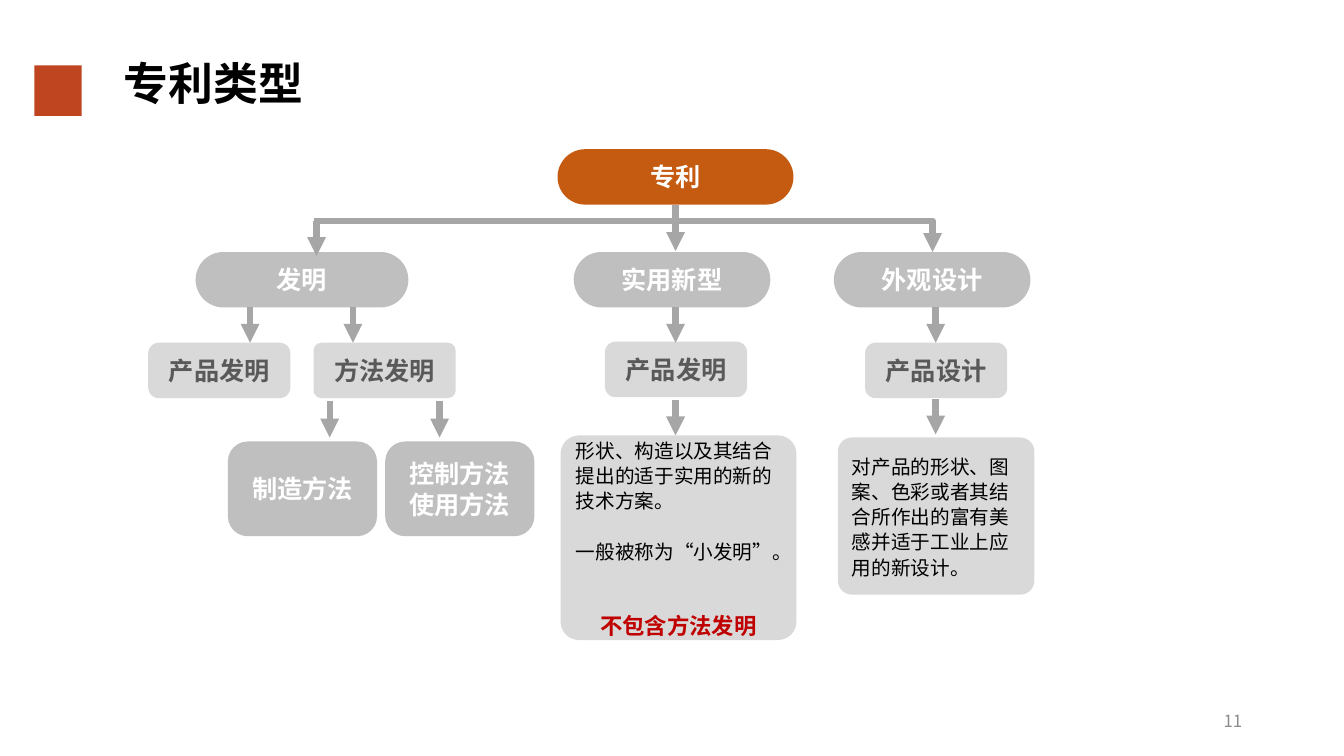
import pptx
import pptx.util
import pptx.dml.color
import pptx.enum.shapes
import pptx.enum.text
import pptx.oxml.ns
import lxml.etree

Inches = pptx.util.Inches
Pt = pptx.util.Pt
Align = pptx.enum.text.PP_ALIGN
Anchor = pptx.enum.text.MSO_ANCHOR
Shapes = pptx.enum.shapes.MSO_SHAPE
Links = pptx.enum.shapes.MSO_CONNECTOR
qn = pptx.oxml.ns.qn

FONT = "Noto Sans CJK SC"
ORANGE, GRAY, LIGHT, ARROW = "C55A11", "BFBFBF", "D9D9D9", "A6A6A6"
WHITE, BLACK, DARK, RED = "FFFFFF", "000000", "595959", "C00000"
MARKER = "BF4521"


def color(value):
    return pptx.dml.color.RGBColor.from_string(value)


def write(para, text, size=18, fill=BLACK, bold=False, align=Align.LEFT, spacing=None, before=0):
    para.alignment = align
    para.line_spacing = spacing
    para.space_before = Pt(before)
    span = para.add_run()
    span.text = text
    span.font.size = Pt(size)
    span.font.bold = bold
    span.font.color.rgb = color(fill)
    span.font.name = FONT
    east_asian = lxml.etree.SubElement(span.font._element, qn("a:ea"))
    east_asian.set("typeface", FONT)


deck = pptx.Presentation()
deck.slide_width = Inches(13.33)
deck.slide_height = Inches(7.5)
page = deck.slides.add_slide(deck.slide_layouts[6])

# Title and page number
title = page.shapes.add_textbox(Inches(1.13), Inches(0.61), Inches(1.98), Inches(0.53))
title.text_frame.word_wrap = False
write(title.text_frame.paragraphs[0], "专利类型", size=32, bold=True, spacing=0.8)

number = page.shapes.add_textbox(Inches(9.42), Inches(6.95), Inches(3), Inches(0.4))
number.text_frame.word_wrap = True
number.text_frame.vertical_anchor = Anchor.MIDDLE
write(number.text_frame.paragraphs[0], "11", size=12, fill="8C8C8C", align=Align.RIGHT)

# Title marker and boxes of the tree: left, top, width, height, rounding, fill, paragraphs
heading = dict(fill=WHITE, bold=True, align=Align.CENTER)
kind = dict(heading, fill=DARK)
body = dict(size=14, spacing=Pt(18))
warning = dict(body, size=16, fill=RED, bold=True, align=Align.CENTER, before=36)
boxes = [
    (0.34, 0.65, 0.47, 0.5, 0, MARKER, []),
    (5.53, 1.48, 2.34, 0.55, 0.5, ORANGE, [("专利", heading)]),
    (1.94, 2.5, 2.11, 0.55, 0.5, GRAY, [("发明", heading)]),
    (5.69, 2.5, 1.95, 0.55, 0.5, GRAY, [("实用新型", heading)]),
    (8.27, 2.5, 1.95, 0.55, 0.5, GRAY, [("外观设计", heading)]),
    (1.47, 3.4, 1.41, 0.55, 0.19, LIGHT, [("产品发明", kind)]),
    (3.11, 3.4, 1.41, 0.55, 0.14, LIGHT, [("方法发明", kind)]),
    (6, 3.39, 1.41, 0.55, 0.19, LIGHT, [("产品发明", kind)]),
    (8.58, 3.4, 1.41, 0.55, 0.19, LIGHT, [("产品设计", kind)]),
    (2.26, 4.38, 1.48, 0.94, 0.21, GRAY, [("制造方法", heading)]),
    (3.82, 4.38, 1.48, 0.94, 0.21, GRAY, [("控制方法", heading), ("使用方法", heading)]),
    (5.56, 4.32, 2.34, 2.03, 0.09, LIGHT, [
        ("形状、构造以及其结合提出的适于实用的新的技术方案。", body),
        ("一般被称为“小发明”。", dict(body, before=18)),
        ("不包含方法发明", warning)]),
    (8.31, 4.34, 1.95, 1.56, 0.09, LIGHT, [
        ("对产品的形状、图案、色彩或者其结合所作出的富有美感并适于工业上应用的新设计。", body)]),
]
for left, top, width, height, rounding, fill, lines in boxes:
    box = page.shapes.add_shape(Shapes.ROUNDED_RECTANGLE, Inches(left), Inches(top),
                                Inches(width), Inches(height))
    box.adjustments[0] = rounding
    box.shadow.inherit = False
    box.fill.solid()
    box.fill.fore_color.rgb = color(fill)
    box.line.fill.background()
    frame = box.text_frame
    frame.word_wrap = True
    frame.vertical_anchor = Anchor.MIDDLE
    for index, (text, style) in enumerate(lines):
        para = frame.add_paragraph() if index else frame.paragraphs[0]
        write(para, text, **style)

# Arrows: start and end; the one that spans the tree bends once
arrows = [
    (3.11, 2.19, 9.25, 2.5), (6.7, 2.03, 6.7, 2.49), (3.14, 2.19, 3.14, 2.54),
    (2.48, 3.05, 2.48, 3.4), (3.5, 3.05, 3.5, 3.4),
    (6.7, 3.05, 6.7, 3.4), (9.28, 3.05, 9.28, 3.4),
    (3.27, 3.98, 3.27, 4.34), (4.36, 3.98, 4.36, 4.34),
    (6.7, 3.97, 6.7, 4.32), (9.28, 3.96, 9.28, 4.31),
]
for x1, y1, x2, y2 in arrows:
    bent = x1 != x2
    arrow = page.shapes.add_connector(Links.ELBOW if bent else Links.STRAIGHT,
                                      Inches(x1), Inches(y1), Inches(x2), Inches(y2))
    arrow.line.color.rgb = color(ARROW)
    arrow.line.width = Pt(4.5)
    properties = arrow._element.spPr
    if bent:
        properties.find(qn("a:prstGeom")).set("prst", "bentConnector2")
    head = lxml.etree.SubElement(properties.find(qn("a:ln")), qn("a:tailEnd"))
    head.set("type", "triangle")
    lxml.etree.SubElement(properties, qn("a:effectLst"))

deck.save("out.pptx")
